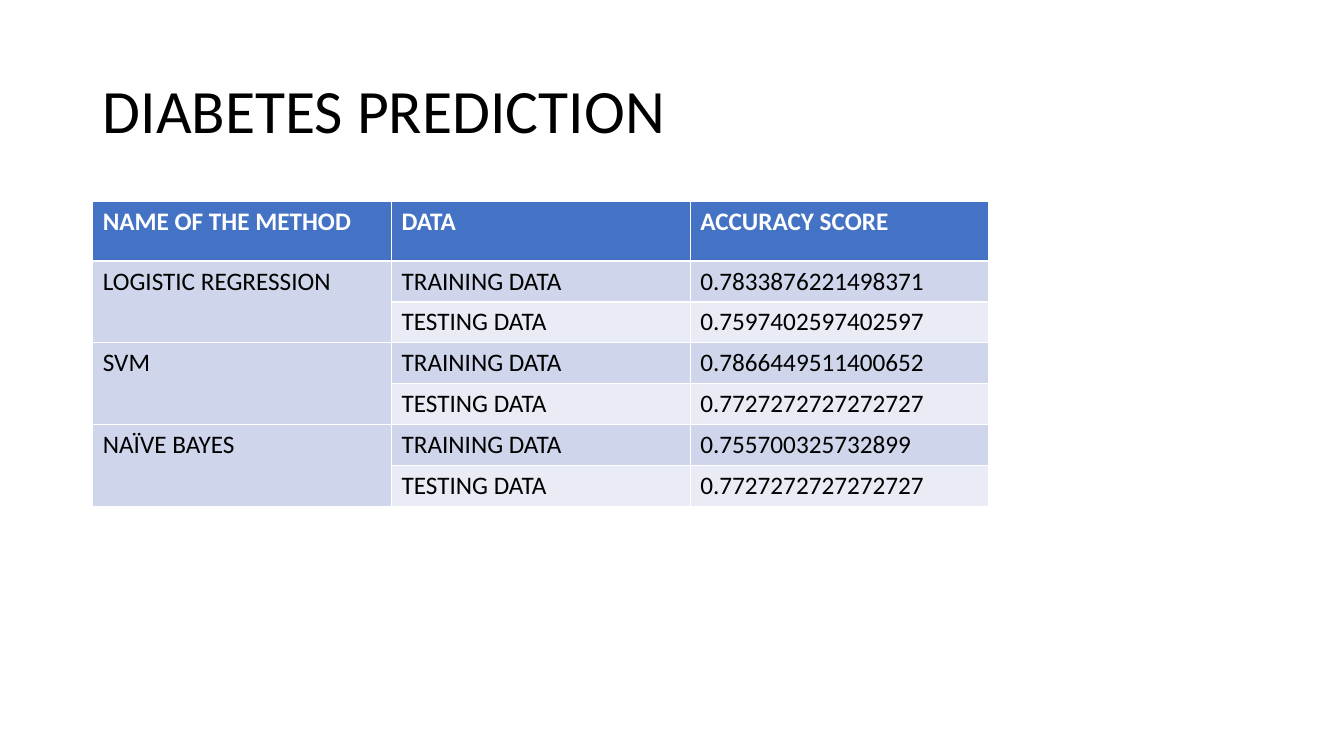
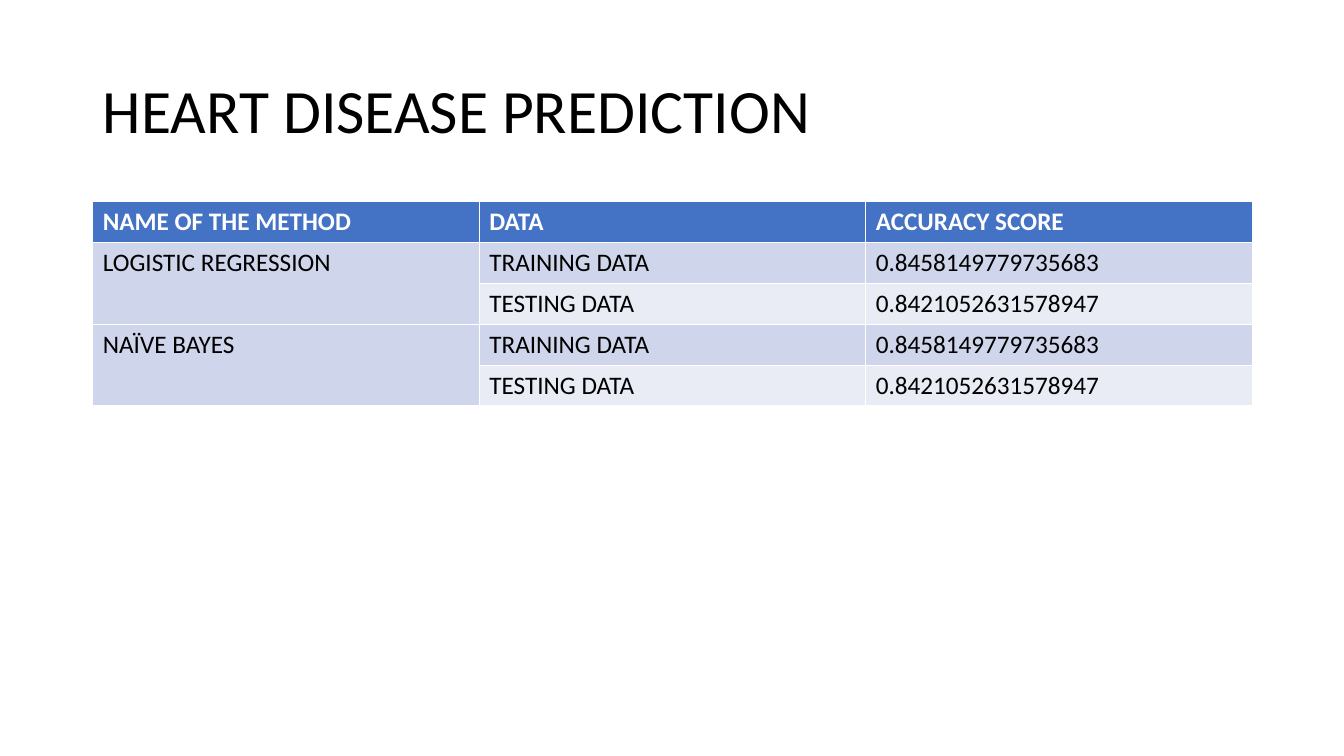
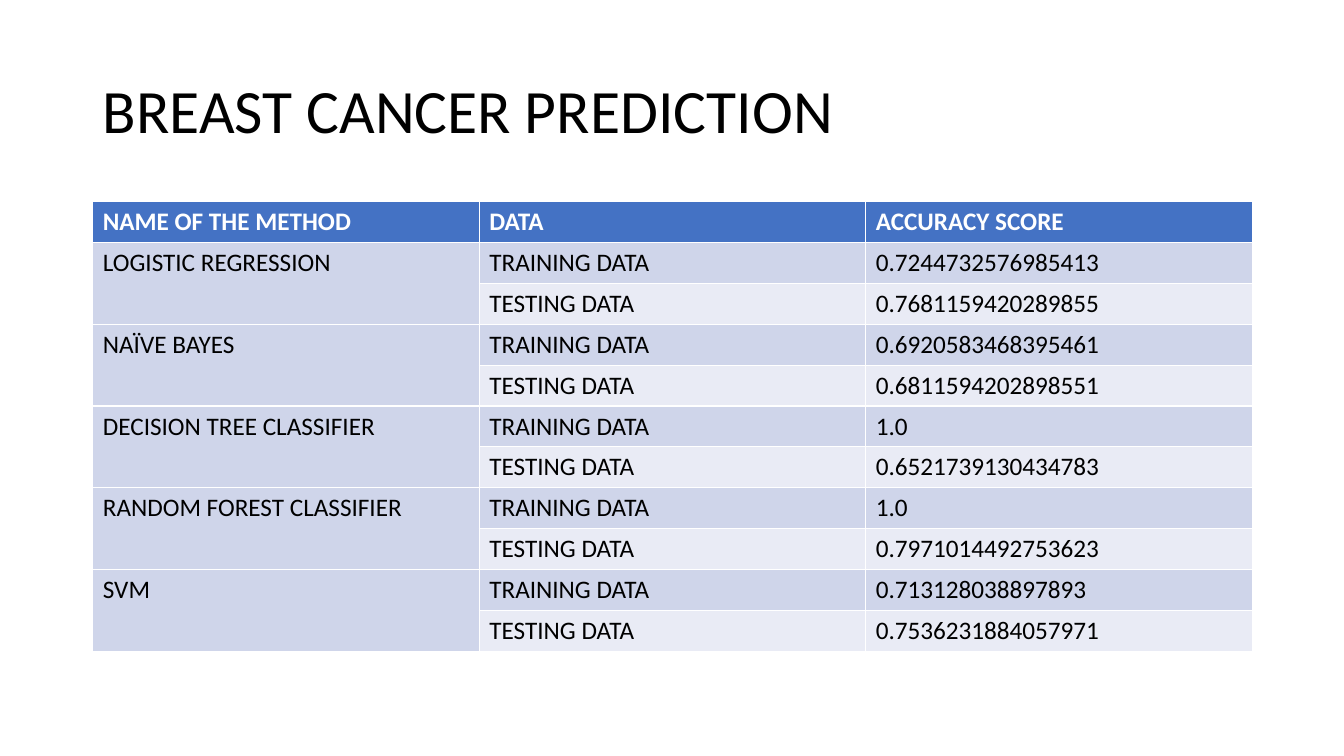
from pptx import Presentation
from pptx.dml.color import RGBColor
from pptx.enum import text
from pptx.util import Inches, Pt

BLACK = RGBColor(0x00, 0x00, 0x00)
WHITE = RGBColor(0xFF, 0xFF, 0xFF)
HEADER_BLUE = RGBColor(0x44, 0x72, 0xC4)
BAND_DARK = RGBColor(0xCF, 0xD5, 0xEA)
BAND_LIGHT = RGBColor(0xE9, 0xEB, 0xF5)

HEADINGS = ("NAME OF THE METHOD", "DATA", "ACCURACY SCORE")
DATA_SETS = (("TRAINING DATA", BAND_DARK), ("TESTING DATA", BAND_LIGHT))

RESULTS = (
    ("DIABETES PREDICTION", 8.89, 0.59, (
        ("LOGISTIC REGRESSION", "0.7833876221498371", "0.7597402597402597"),
        ("SVM", "0.7866449511400652", "0.7727272727272727"),
        ("NAÏVE BAYES", "0.755700325732899", "0.7727272727272727"),
    )),
    ("HEART DISEASE PREDICTION", 11.5, 0.4, (
        ("LOGISTIC REGRESSION", "0.8458149779735683", "0.8421052631578947"),
        ("NAÏVE BAYES", "0.8458149779735683", "0.8421052631578947"),
    )),
    ("BREAST CANCER PREDICTION", 11.5, 0.4, (
        ("LOGISTIC REGRESSION", "0.7244732576985413", "0.7681159420289855"),
        ("NAÏVE BAYES", "0.6920583468395461", "0.6811594202898551"),
        ("DECISION TREE CLASSIFIER", "1.0", "0.6521739130434783"),
        ("RANDOM FOREST CLASSIFIER", "1.0", "0.7971014492753623"),
        ("SVM", "0.713128038897893", "0.7536231884057971"),
    )),
)


class Deck:
    """Hold the shared style and the slide being built."""

    FONT = "Calibri"
    LEFT = Inches(0.92)
    ROW_HEIGHT = Inches(0.4)

    def __init__(self):
        self.presentation = Presentation()
        self.presentation.slide_width = Inches(13.33)
        self.presentation.slide_height = Inches(7.5)
        self.slide = None

    def add_words(self, paragraph, words, size, color, bold=False):
        run = paragraph.add_run()
        run.text = words
        run.font.name = self.FONT
        run.font.size = Pt(size)
        run.font.bold = bold
        run.font.color.rgb = color

    def add_slide(self, words):
        layout = self.presentation.slide_layouts.get_by_name("Title Only")
        self.slide = self.presentation.slides.add_slide(layout)
        title = self.slide.shapes.title
        title.left, title.top = self.LEFT, Inches(0.4)
        title.width, title.height = Inches(11.5), Inches(1.45)
        frame = title.text_frame
        frame.auto_size = text.MSO_AUTO_SIZE.NONE
        frame.vertical_anchor = text.MSO_ANCHOR.MIDDLE
        heading = frame.paragraphs[0]
        heading.alignment = text.PP_ALIGN.LEFT
        heading.line_spacing = 0.9
        self.add_words(heading, words, 44, BLACK)

    def fill_cell(self, cell, words, fill, color=BLACK, bold=False):
        cell.fill.solid()
        cell.fill.fore_color.rgb = fill
        if words:
            self.add_words(cell.text_frame.paragraphs[0], words, 18, color, bold)

    def add_scores(self, width, header_height, methods):
        row_count = 1 + len(DATA_SETS) * len(methods)
        height = Inches(header_height) + (row_count - 1) * self.ROW_HEIGHT
        scores = self.slide.shapes.add_table(
            row_count, len(HEADINGS), self.LEFT, Inches(2), Inches(width), height).table
        for row in scores.rows:
            row.height = self.ROW_HEIGHT
        scores.rows[0].height = Inches(header_height)
        for column, heading in enumerate(HEADINGS):
            self.fill_cell(scores.cell(0, column), heading, HEADER_BLUE, WHITE, True)
        for index, (method, *accuracies) in enumerate(methods):
            first = 1 + index * len(DATA_SETS)
            last = first + len(DATA_SETS) - 1
            scores.cell(first, 0).merge(scores.cell(last, 0))
            for offset, ((data, band), accuracy) in enumerate(zip(DATA_SETS, accuracies)):
                row = first + offset
                self.fill_cell(scores.cell(row, 0), "" if offset else method, BAND_DARK)
                self.fill_cell(scores.cell(row, 1), data, band)
                self.fill_cell(scores.cell(row, 2), accuracy, band)


def main():
    deck = Deck()
    for title, width, header_height, methods in RESULTS:
        deck.add_slide(title)
        deck.add_scores(width, header_height, methods)
    deck.presentation.save("out.pptx")


if __name__ == "__main__":
    main()
